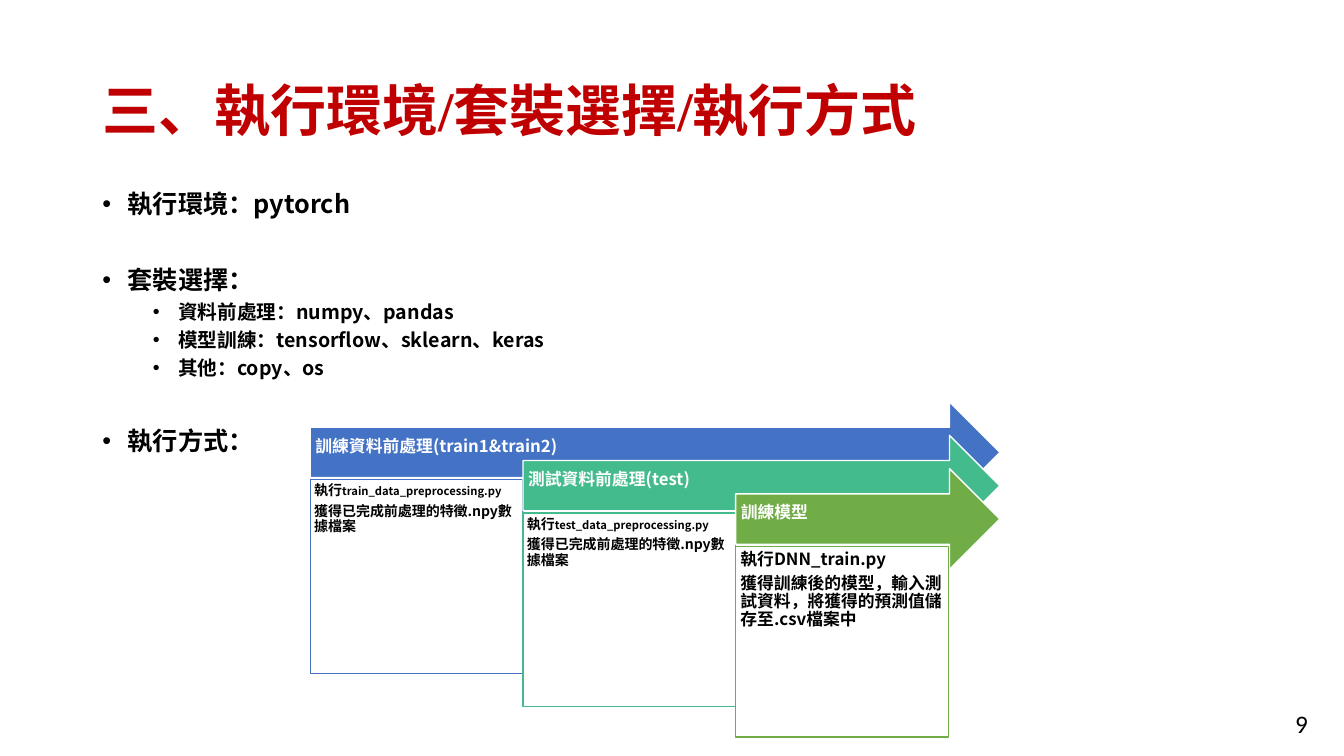
from lxml import etree
from pptx import Presentation
from pptx.dml.color import RGBColor as RGB
from pptx.enum.shapes import MSO_SHAPE as SHAPE
from pptx.enum.text import MSO_ANCHOR as ANCHOR, MSO_AUTO_SIZE as AUTO, PP_ALIGN as ALIGN
from pptx.oxml.ns import qn
from pptx.util import Cm, Pt

COLORS = {
    "title": "C00000", "text": "000000", "white": "FFFFFF",
    "train": "4472C4", "test": "43BB8D", "model": "70AD47",
}
SANS = "Noto Sans CJK SC"
SERIF = "Times New Roman"

BULLETS = [
    (0, "執行環境：pytorch", 10),
    (0, "套裝選擇：", 35),
    (1, "資料前處理：numpy、pandas", 5),
    (1, "模型訓練：tensorflow、sklearn、keras", 5),
    (1, "其他：copy、os", 5),
    (0, "執行方式：", 35),
]
FEATURES = "獲得已完成前處理的特徵.npy數據檔案"
STEPS = [
    ("train", "訓練資料前處理(train1&train2)", "train_data_preprocessing.py", 8, FEATURES, 10, 4.88),
    ("test", "測試資料前處理(test)", "test_data_preprocessing.py", 8, FEATURES, 10, 4.88),
    ("model", "訓練模型", "DNN_train.py", 12,
     "獲得訓練後的模型，輸入測試資料，將獲得的預測值儲存至.csv檔案中", 12, 4.8),
]
LEFT, TOP, RIGHT = 7.82, 10.13, 25.2
STEP_X, STEP_Y = 5.36, 0.84
ARROW_H, BOX_DROP = 2.54, 1.96


def add_text(p, text, size=18, font=SANS, color="text", bold=True, before=0, after=0, spacing=0.9):
    p.alignment = ALIGN.LEFT
    p.line_spacing = spacing
    p.space_before, p.space_after = Pt(before), Pt(after)
    r = p.add_run()
    r.text = text
    r.font.size, r.font.bold, r.font.name = Pt(size), bold, font
    r.font.color.rgb = RGB.from_string(COLORS[color])
    etree.SubElement(r.font._element, qn("a:ea")).set("typeface", SANS)


def set_frame(tf, anchor, left=0.25, top=0.13, right=0.25, bottom=0.13):
    tf.word_wrap = True
    tf.auto_size = AUTO.NONE
    tf.vertical_anchor = anchor
    tf.margin_left, tf.margin_top = Cm(left), Cm(top)
    tf.margin_right, tf.margin_bottom = Cm(right), Cm(bottom)


def place(sp, left, top, width, height):
    sp.left, sp.top, sp.width, sp.height = Cm(left), Cm(top), Cm(width), Cm(height)


def add_bullet(p, level):
    p.level = level
    pPr = p._p.get_or_add_pPr()
    pPr.set("marL", str(Cm(0.64 + 1.27 * level)))
    pPr.set("indent", str(-Cm(0.64)))
    etree.SubElement(pPr, qn("a:buFont")).set("typeface", "Arial")
    etree.SubElement(pPr, qn("a:buChar")).set("char", "•")


def add_panel(s, kind, left, top, width, height, fill, line):
    sp = s.shapes.add_shape(kind, Cm(left), Cm(top), Cm(width), Cm(height))
    sp.shadow.inherit = False
    sp.fill.solid()
    sp.fill.fore_color.rgb = RGB.from_string(COLORS[fill])
    sp.line.color.rgb = RGB.from_string(COLORS[line])
    sp.line.width = Pt(1)
    return sp


def add_title(s, text):
    sp = s.shapes.title
    place(sp, 2.33, 1.01, 29.21, 3.68)
    set_frame(sp.text_frame, ANCHOR.MIDDLE)
    add_text(sp.text_frame.paragraphs[0], text, size=40, font=SERIF, color="title")


def add_list(s, items):
    sp = s.placeholders[1]
    place(sp, 2.33, 4.7, 29.21, 13.74)
    tf = sp.text_frame
    set_frame(tf, ANCHOR.TOP)
    for i, (level, text, before) in enumerate(items):
        p = tf.add_paragraph() if i else tf.paragraphs[0]
        add_text(p, text, size=14 if level else 18, before=before)
        add_bullet(p, level)


def add_step(s, i, color, heading, script, script_size, result, size, box_h):
    left, top = LEFT + i * STEP_X, TOP + i * STEP_Y
    arrow = add_panel(s, SHAPE.RIGHT_ARROW, left, top, RIGHT - left, ARROW_H, color, "white")
    set_frame(arrow.text_frame, ANCHOR.MIDDLE, 0.13, 0.13, 0.71, 0.41)
    add_text(arrow.text_frame.paragraphs[0], heading, size=12, color="white")

    box = add_panel(s, SHAPE.RECTANGLE, left, top + BOX_DROP, STEP_X, box_h, "white", color)
    tf = box.text_frame
    inset = size / 100
    set_frame(tf, ANCHOR.TOP, inset, inset, inset, inset)
    p = tf.paragraphs[0]
    add_text(p, "執行", size=size, after=4)
    add_text(p, script, size=script_size, after=4)
    add_text(tf.add_paragraph(), result, size=size)


def add_page_number(s, number):
    sp = s.shapes.add_textbox(Cm(32.39), Cm(17.73), Cm(1.78), Cm(1.02))
    set_frame(sp.text_frame, ANCHOR.TOP)
    add_text(sp.text_frame.paragraphs[0], number, font="Calibri", bold=False, spacing=1.0)


def main():
    prs = Presentation()
    prs.slide_width, prs.slide_height = Cm(33.87), Cm(19.05)
    s = prs.slides.add_slide(prs.slide_layouts[1])
    add_title(s, "三、執行環境/套裝選擇/執行方式")
    add_list(s, BULLETS)
    for i, step in enumerate(STEPS):
        add_step(s, i, *step)
    add_page_number(s, "9")
    prs.save("out.pptx")


main()
